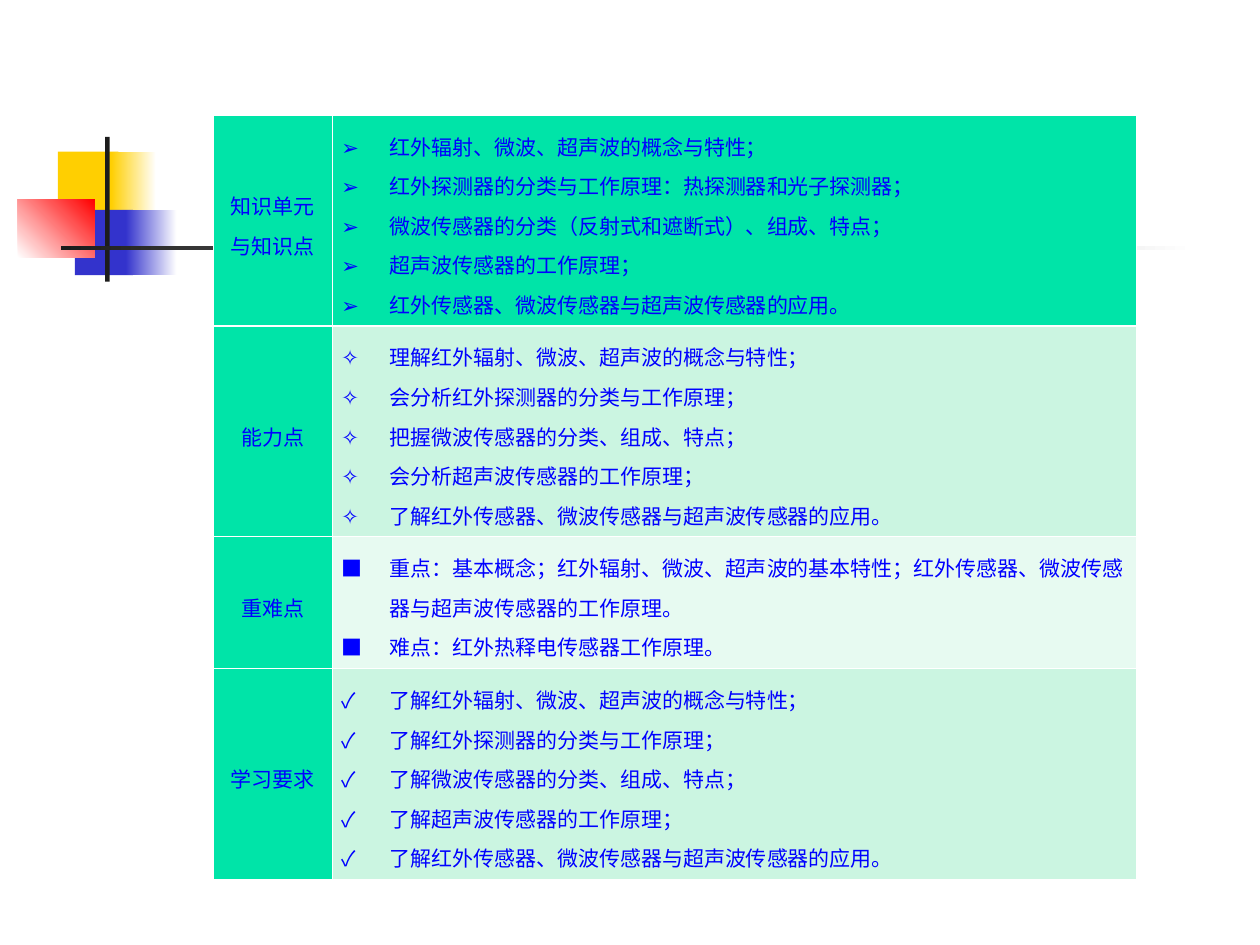
from dataclasses import dataclass
from typing import Optional

from lxml.etree import SubElement
from pptx import Presentation
from pptx.dml.color import RGBColor
from pptx.enum.shapes import MSO_SHAPE as Shape
from pptx.enum.text import MSO_ANCHOR as Anchor, PP_ALIGN as Align
from pptx.oxml import parse_xml
from pptx.oxml.ns import nsdecls, qn
from pptx.util import Cm, Pt

FONT = "Noto Sans CJK SC"
COLORS = {
    "yellow": "FFCF01", "indigo": "3333CC", "red": "FF0000", "black": "1C1C1C",
    "white": "FFFFFF", "text": "0000FF", "green": "00E4A8",
    "mint": "CBF5E1", "pale": "E7FAF1",
}
THIN, THICK = 0.45, 1.47
INDENT = Cm(0.97)


@dataclass
class Block:
    left: float
    top: float
    width: float
    height: float
    color: str
    fade_to: Optional[str] = None
    angle: float = 0


@dataclass
class Section:
    title: str
    bullet: str
    fill: str
    height: float
    justified: int
    items: list[str]


BLOCKS = [
    Block(1.17, 3.06, 1.22, 1.32, "yellow"),
    Block(2.24, 3.06, 0.91, 1.32, "yellow", "white"),
    Block(1.51, 4.23, 1.17, 1.32, "indigo"),
    Block(2.54, 4.23, 1.02, 1.32, "indigo", "white"),
    Block(0.36, 4.02, 1.55, 1.17, "white", "red", 45),
    Block(2.12, 2.76, 0.09, 2.92, "black"),
    Block(1.23, 4.95, 22.86, 0.09, "black", "white"),
]

SECTIONS = [
    Section("知识单元与知识点", "➢", "green", 4.17, 5, [
        "红外辐射、微波、超声波的概念与特性；",
        "红外探测器的分类与工作原理：热探测器和光子探测器；",
        "微波传感器的分类（反射式和遮断式）、组成、特点；",
        "超声波传感器的工作原理；",
        "红外传感器、微波传感器与超声波传感器的应用。",
    ]),
    Section("能力点", "✧", "mint", 4.17, 4, [
        "理解红外辐射、微波、超声波的概念与特性；",
        "会分析红外探测器的分类与工作原理；",
        "把握微波传感器的分类、组成、特点；",
        "会分析超声波传感器的工作原理；",
        "了解红外传感器、微波传感器与超声波传感器的应用。",
    ]),
    Section("重难点", "■", "pale", 2.46, 0, [
        "重点：基本概念；红外辐射、微波、超声波的基本特性；"
        "红外传感器、微波传感器与超声波传感器的工作原理。",
        "难点：红外热释电传感器工作原理。",
    ]),
    Section("学习要求", "✓", "mint", 4.17, 4, [
        "了解红外辐射、微波、超声波的概念与特性；",
        "了解红外探测器的分类与工作原理；",
        "了解微波传感器的分类、组成、特点；",
        "了解超声波传感器的工作原理；",
        "了解红外传感器、微波传感器与超声波传感器的应用。",
    ]),
]


def rgb(name: str) -> RGBColor:
    return RGBColor.from_string(COLORS[name])


def set_all(target, values: dict) -> None:
    for name, value in values.items():
        setattr(target, name, value)


def draw_block(page, block: Block) -> None:
    box = page.shapes.add_shape(
        Shape.RECTANGLE, Cm(block.left), Cm(block.top), Cm(block.width), Cm(block.height))
    box.shadow.inherit = False
    box.line.fill.background()
    if block.fade_to is None:
        box.fill.solid()
        box.fill.fore_color.rgb = rgb(block.color)
        return
    box.fill.gradient()
    box.fill.gradient_angle = block.angle
    for stop, color in zip(box.fill.gradient_stops, (block.color, block.fade_to)):
        stop.color.rgb = rgb(color)


def format_cell(cell, fill: str, top: float, bottom: float) -> None:
    set_all(cell, {
        "vertical_anchor": Anchor.MIDDLE,
        "margin_left": Cm(0.18), "margin_right": Cm(0.18),
        "margin_top": Cm(0.13), "margin_bottom": Cm(0.13),
    })
    cell.fill.solid()
    cell.fill.fore_color.rgb = rgb(fill)
    properties = cell._tc.get_or_add_tcPr()
    widths = {"lnL": THIN, "lnR": THIN, "lnT": top, "lnB": bottom}
    for index, (side, width) in enumerate(widths.items()):
        properties.insert(index, parse_xml(
            f'<a:{side} {nsdecls("a")} w="{Pt(width)}"><a:solidFill>'
            f'<a:srgbClr val="{COLORS["white"]}"/></a:solidFill></a:{side}>'))


def add_bullet(para, bullet: str) -> None:
    properties = para._p.get_or_add_pPr()
    properties.set("marL", str(INDENT))
    properties.set("indent", str(-INDENT))
    color = SubElement(properties, qn("a:buClr"))
    SubElement(color, qn("a:srgbClr"), val=COLORS["text"])
    SubElement(properties, qn("a:buFont"), typeface=FONT)
    SubElement(properties, qn("a:buChar"), char=bullet)


def write(para, text: str, alignment: Align) -> None:
    set_all(para, {"alignment": alignment, "line_spacing": 1.3})
    span = para.add_run()
    span.text = text
    set_all(span.font, {"name": FONT, "size": Pt(12), "bold": False})
    span.font.color.rgb = rgb("text")
    SubElement(span._r.get_or_add_rPr(), qn("a:ea"), typeface=FONT)


def draw_table(page, sections: list[Section]) -> None:
    widths = (2.4, 16.21)
    height = sum(section.height for section in sections)
    table = page.shapes.add_table(
        len(sections), len(widths), Cm(4.3), Cm(2.32), Cm(sum(widths)), Cm(height)).table
    for column, width in zip(table.columns, widths):
        column.width = Cm(width)
    for index, section in enumerate(sections):
        table.rows[index].height = Cm(section.height)
        title, body = table.cell(index, 0), table.cell(index, 1)
        top = THICK if index == 1 else THIN
        bottom = THICK if index == 0 else THIN
        format_cell(title, "green", top, bottom)
        format_cell(body, section.fill, top, bottom)
        write(title.text_frame.paragraphs[0], section.title, Align.CENTER)
        frame = body.text_frame
        for number, item in enumerate(section.items):
            para = frame.add_paragraph() if number else frame.paragraphs[0]
            add_bullet(para, section.bullet)
            write(para, item, Align.JUSTIFY if number < section.justified else Align.LEFT)


def main() -> None:
    deck = Presentation()
    set_all(deck, {"slide_width": Cm(25.4), "slide_height": Cm(19.05)})
    page = deck.slides.add_slide(deck.slide_layouts[6])
    for block in BLOCKS:
        draw_block(page, block)
    draw_table(page, SECTIONS)
    deck.save("out.pptx")


if __name__ == "__main__":
    main()
